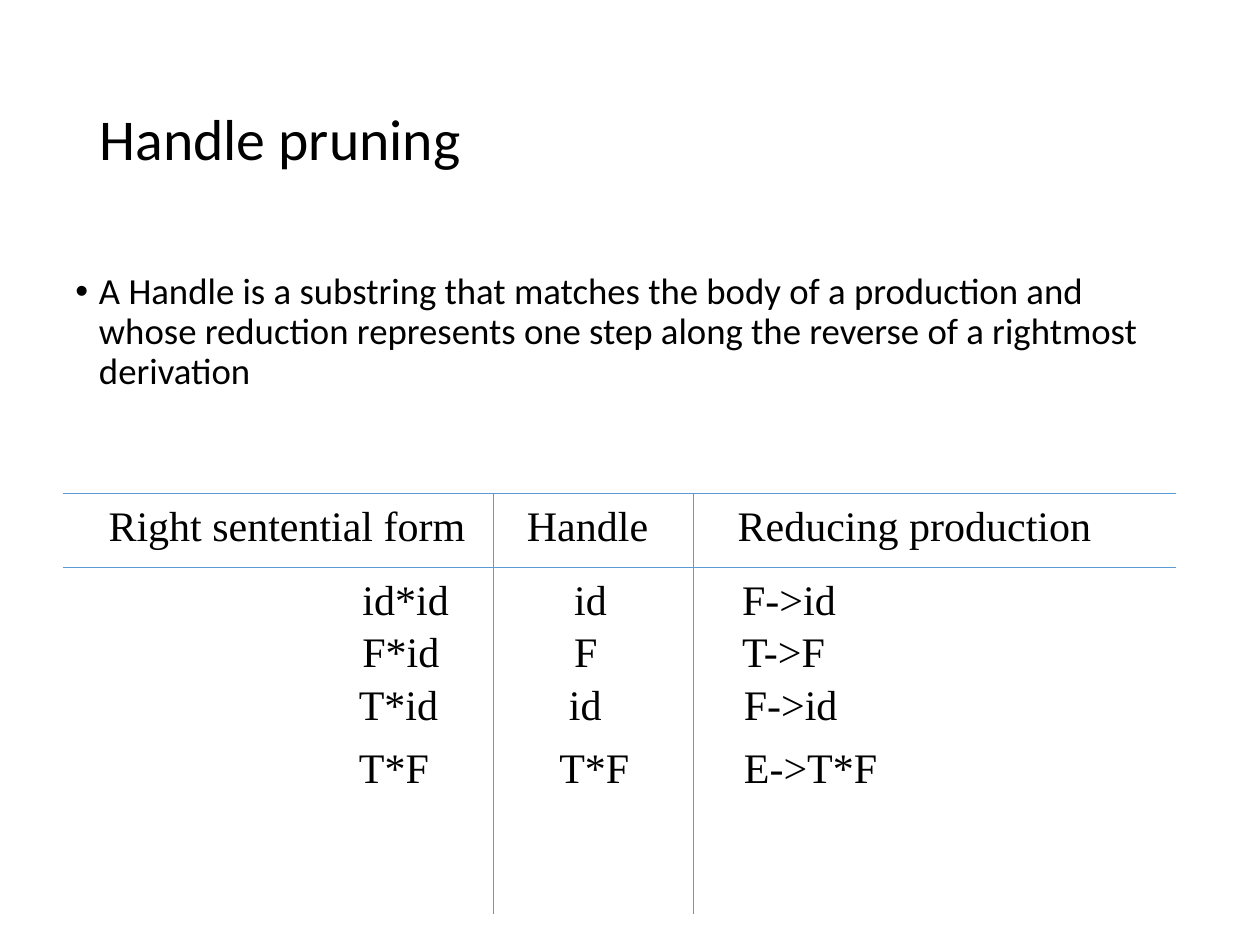
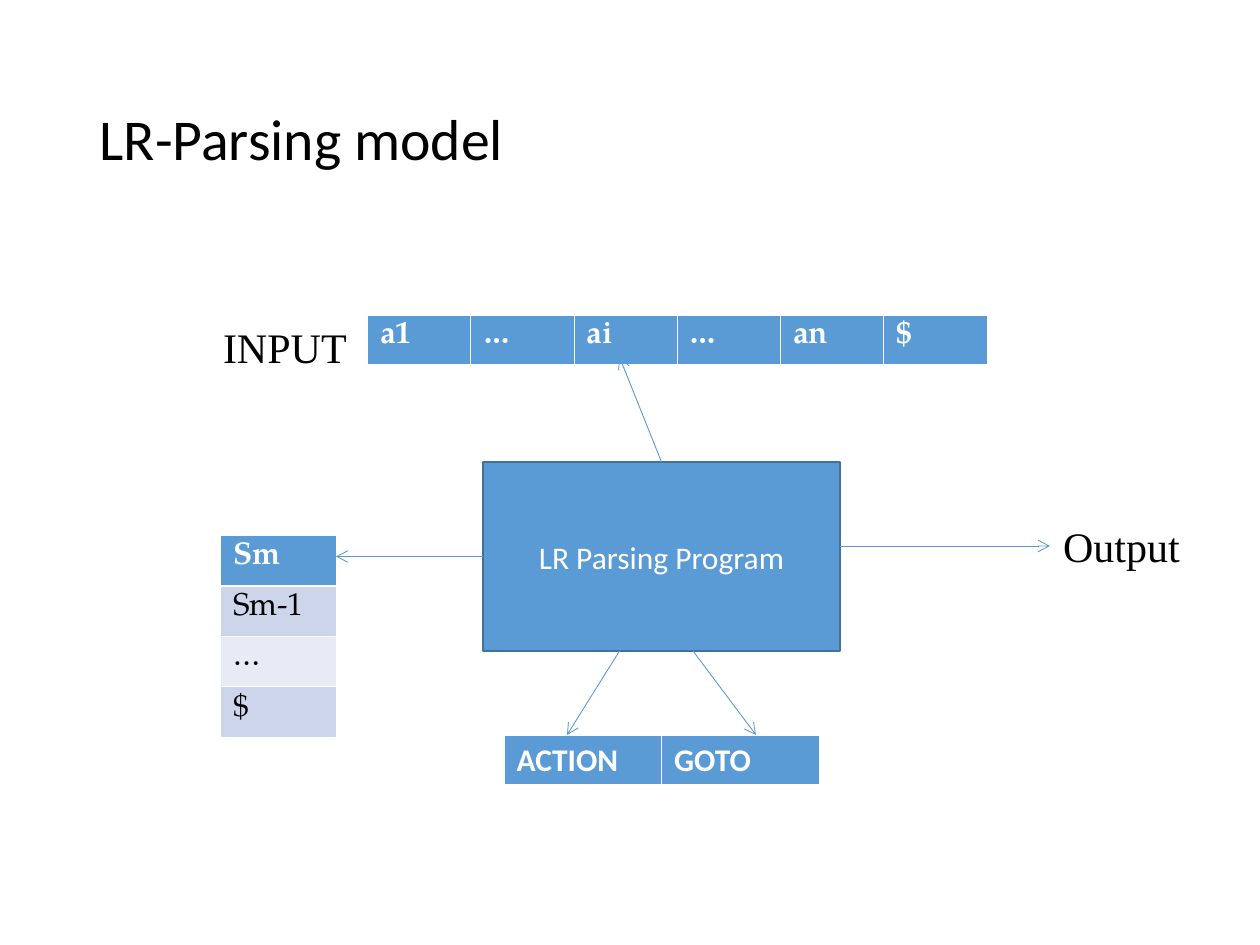
import dataclasses

import lxml.etree
import pptx
import pptx.dml.color
import pptx.enum.shapes
import pptx.enum.text
import pptx.oxml.ns
import pptx.util

Pt = pptx.util.Pt
qn = pptx.oxml.ns.qn


@dataclasses.dataclass(frozen=True)
class Theme:
    black: str = "000000"
    white: str = "FFFFFF"
    accent: str = "5B9BD5"
    accent_dark: str = "41719C"
    band: str = "CCD5EA"
    band_light: str = "E7EBF5"
    sans: str = "Calibri"
    serif: str = "Times New Roman"
    math: str = "TeX Gyre Pagella"
    title_size: float = 33
    body_size: float = 21
    label_size: float = 24
    cell_size: float = 18
    hairline: float = 0.5
    border: float = 0.45
    head_border: float = 1.47


THEME = Theme()
LABEL_HEIGHT = 36
ROW_HEIGHT = 28.8


def rgb(value):
    return pptx.dml.color.RGBColor.from_string(value)


def write_text(tf, text, *, size, font=THEME.sans, color=THEME.black, bold=False,
               align=None, anchor=None, spacing=None, bullet_indent=None):
    tf.word_wrap = True
    if anchor is not None:
        tf.vertical_anchor = anchor
    p = tf.paragraphs[0]
    if bullet_indent:
        pPr = p._p.get_or_add_pPr()
        pPr.set("marL", str(Pt(bullet_indent)))
        pPr.set("indent", str(-Pt(bullet_indent)))
        lxml.etree.SubElement(pPr, qn("a:buFont"), typeface="Arial")
        lxml.etree.SubElement(pPr, qn("a:buChar"), char="•")
    if align is not None:
        p.alignment = align
    if spacing:
        p.line_spacing = spacing
    r = p.add_run()
    r.text = text
    r.font.name = font
    r.font.size = Pt(size)
    r.font.bold = bold
    r.font.color.rgb = rgb(color)


def add_text(s, text, left, top, width, height, **fmt):
    sp = s.shapes.add_textbox(Pt(left), Pt(top), Pt(width), Pt(height))
    write_text(sp.text_frame, text, **fmt)


def add_title(s, text):
    add_text(s, text, 49.8, 28.8, 621, 104.4, size=THEME.title_size,
             anchor=pptx.enum.text.MSO_ANCHOR.MIDDLE, spacing=0.9)


def add_label(s, text, left, top, width):
    add_text(s, text, left, top, width, LABEL_HEIGHT,
             size=THEME.label_size, font=THEME.serif)


def add_line(s, x1, y1, x2, y2, arrow=False):
    cxn = s.shapes.add_connector(pptx.enum.shapes.MSO_CONNECTOR.STRAIGHT,
                                 Pt(x1), Pt(y1), Pt(x2), Pt(y2))
    cxn.line.color.rgb = rgb(THEME.accent)
    cxn.line.width = Pt(THEME.hairline)
    if arrow:
        ln = cxn.line._get_or_add_ln()
        lxml.etree.SubElement(ln, qn("a:tailEnd"), type="arrow")
    lxml.etree.SubElement(cxn._element.spPr, qn("a:effectLst"))


def add_box(s, text, left, top, width, height):
    sp = s.shapes.add_shape(pptx.enum.shapes.MSO_SHAPE.RECTANGLE,
                            Pt(left), Pt(top), Pt(width), Pt(height))
    sp.shadow.inherit = False
    sp.fill.solid()
    sp.fill.fore_color.rgb = rgb(THEME.accent)
    sp.line.color.rgb = rgb(THEME.accent_dark)
    sp.line.width = Pt(1)
    write_text(sp.text_frame, text, size=THEME.cell_size, color=THEME.white,
               align=pptx.enum.text.PP_ALIGN.CENTER,
               anchor=pptx.enum.text.MSO_ANCHOR.MIDDLE)


def set_borders(cell, **widths):
    tcPr = cell._tc.get_or_add_tcPr()
    for side in ("L", "R", "T", "B"):
        width = widths.get(side, THEME.border)
        ln = lxml.etree.SubElement(tcPr, qn(f"a:ln{side}"), w=str(Pt(width)))
        fill = lxml.etree.SubElement(ln, qn("a:solidFill"))
        lxml.etree.SubElement(fill, qn("a:srgbClr"), val=THEME.white)


def add_cells(s, rows, left, top, col_width, font):
    n_rows, n_cols = len(rows), len(rows[0])
    tbl = s.shapes.add_table(n_rows, n_cols, Pt(left), Pt(top),
                             Pt(col_width * n_cols), Pt(ROW_HEIGHT * n_rows)).table
    tbl.first_row = tbl.horz_banding = False
    for col in tbl.columns:
        col.width = Pt(col_width)
    for i, texts in enumerate(rows):
        tbl.rows[i].height = Pt(ROW_HEIGHT)
        head = i == 0
        fill = THEME.accent if head else (THEME.band_light, THEME.band)[i % 2]
        for j, text in enumerate(texts):
            cell = tbl.cell(i, j)
            if head:
                set_borders(cell, B=THEME.head_border)
            else:
                set_borders(cell, T=THEME.head_border if i == 1 else THEME.border)
            cell.fill.solid()
            cell.fill.fore_color.rgb = rgb(fill)
            write_text(cell.text_frame, text, size=THEME.cell_size, font=font,
                       color=THEME.white if head else THEME.black, bold=head)


def build_handle_pruning(s):
    add_title(s, "Handle pruning")
    add_text(s, "A Handle is a substring that matches the body of a production and "
                "whose reduction represents one step along the reverse of a rightmost "
                "derivation",
             36, 152.6, 648, 124, size=THEME.body_size, spacing=0.9, bullet_indent=13.5)
    steps = [
        (282, [("Right sentential form", 55, 224), ("Handle", 294, 88),
               ("Reducing production", 414.5, 222)]),
        (324, [("id*id", 200, 68), ("id", 321, 38), ("F->id", 417, 72)]),
        (354, [("F*id", 200, 64), ("F", 321, 32), ("T->F", 417, 70)]),
        (384, [("T*id", 198, 66), ("id", 318, 38), ("F->id", 418, 72)]),
        (420, [("T*F", 198, 60), ("T*F", 312.5, 60), ("E->T*F", 418, 96)]),
    ]
    for top, labels in steps:
        for text, left, width in labels:
            add_label(s, text, left, top, width)
    for y in (282, 324):
        add_line(s, 36, y, 672, y)
    for x in (282, 396):
        add_line(s, x, 282, x, 522)


def build_parsing_model(s):
    add_title(s, "LR-Parsing model")
    add_cells(s, [["a1", "…", "ai", "…", "an", "$"]], 210, 180, 59, THEME.math)
    add_label(s, "INPUT", 120.4, 180, 88)
    add_box(s, "LR Parsing Program", 276, 264, 204, 108)
    add_cells(s, [["Sm"], ["Sm-1"], ["…"], ["$"]], 126, 306, 66, THEME.math)
    add_cells(s, [["ACTION", "GOTO"]], 288, 420, 90, THEME.sans)
    add_label(s, "Output", 600.4, 294, 88)
    for ends in [(276, 318, 192, 318), (480, 312, 600, 312), (378, 264, 354, 204),
                 (354, 372, 324, 420), (396, 372, 432, 420)]:
        add_line(s, *ends, arrow=True)


def main():
    prs = pptx.Presentation()
    prs.slide_width, prs.slide_height = Pt(720), Pt(540)
    for build in (build_handle_pruning, build_parsing_model):
        build(prs.slides.add_slide(prs.slide_layouts[6]))
    prs.save("out.pptx")


if __name__ == "__main__":
    main()
